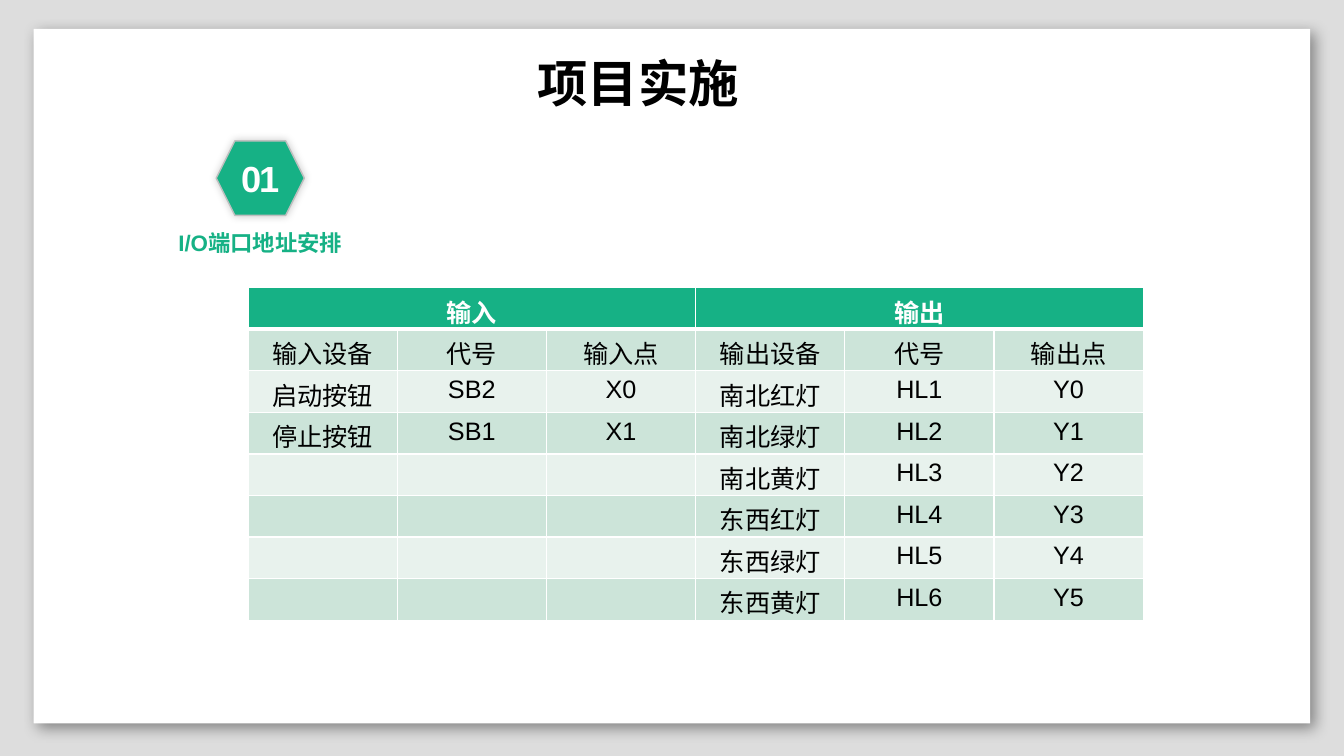
from lxml import etree
from pptx import Presentation
from pptx.dml.color import RGBColor
from pptx.enum import shapes, text
from pptx.oxml import parse_xml
from pptx.oxml.ns import nsdecls, qn
from pptx.util import Cm, Pt

# Content
TITLE = "项目实施"
NUMBER = "01"
SECTION = "I/O端口地址安排"
GROUPS = ["输入", "输出"]
ROWS = [
    ("输入设备", "代号", "输入点", "输出设备", "代号", "输出点"),
    ("启动按钮", "SB2", "X0", "南北红灯", "HL1", "Y0"),
    ("停止按钮", "SB1", "X1", "南北绿灯", "HL2", "Y1"),
    ("", "", "", "南北黄灯", "HL3", "Y2"),
    ("", "", "", "东西红灯", "HL4", "Y3"),
    ("", "", "", "东西绿灯", "HL5", "Y4"),
    ("", "", "", "东西黄灯", "HL6", "Y5"),
]

# Look
BLACK = RGBColor(0x00, 0x00, 0x00)
WHITE = RGBColor(0xFF, 0xFF, 0xFF)
GREEN = RGBColor(0x16, 0xB1, 0x85)
BANDS = [RGBColor(0xCC, 0xE4, 0xD9), RGBColor(0xE8, 0xF2, 0xED)]
EDGE = RGBColor(0xBF, 0xBF, 0xBF)
BACKDROP = RGBColor(0xDD, 0xDD, 0xDD)
LATIN, CJK = "Arial", "Noto Sans CJK JP"
COLUMN_WIDTH, ROW_HEIGHT = Cm(3.76), Cm(1.03)


def write(frame, words, size, colour, bold=True, latin=LATIN):
    para = frame.paragraphs[0]
    para.alignment = text.PP_ALIGN.CENTER
    span = para.add_run()
    span.text = words
    for name, value in {"name": latin, "size": Pt(size), "bold": bold}.items():
        setattr(span.font, name, value)
    span.font.color.rgb = colour
    east_asian = etree.SubElement(span.font._element, qn("a:ea"))
    east_asian.set("typeface", CJK)
    return span


def set_frame(frame, **changes):
    layout = {"margin_left": 0, "margin_right": 0, "margin_top": 0,
              "margin_bottom": 0, "word_wrap": False,
              "auto_size": text.MSO_AUTO_SIZE.NONE,
              "vertical_anchor": text.MSO_ANCHOR.MIDDLE}
    for name, value in {**layout, **changes}.items():
        setattr(frame, name, value)


def add_panel(kind, place, fill, shadow):
    panel = slide.shapes.add_shape(kind, *map(Cm, place))
    panel.fill.solid()
    panel.fill.fore_color.rgb = fill
    panel.line.fill.background()
    alpha, blur, distance, angle = shadow
    panel.element.spPr.append(parse_xml(
        f'<a:effectLst {nsdecls("a")}><a:outerShdw blurRad="{Pt(blur)}" '
        f'dist="{Pt(distance)}" dir="{angle * 60000}" algn="ctr" rotWithShape="0">'
        f'<a:srgbClr val="{BLACK}"><a:alpha val="{alpha * 1000}"/></a:srgbClr>'
        f'</a:outerShdw></a:effectLst>'))
    return panel


def style_cell(cell, fill, top=1, bottom=1):
    cell.margin_bottom = 0
    cell.fill.solid()
    cell.fill.fore_color.rgb = fill
    sides = {"lnL": 1, "lnR": 1, "lnT": top, "lnB": bottom}
    for index, (side, width) in enumerate(sides.items()):
        cell._tc.get_or_add_tcPr().insert(index, parse_xml(
            f'<a:{side} {nsdecls("a")} w="{Pt(width)}"><a:solidFill>'
            f'<a:srgbClr val="{WHITE}"/></a:solidFill></a:{side}>'))


# Slide
deck = Presentation()
deck.slide_width, deck.slide_height = Cm(33.87), Cm(19.05)
slide = deck.slides.add_slide(deck.slide_layouts[5])
slide.background.fill.solid()
slide.background.fill.fore_color.rgb = BACKDROP

# Title over the white page
title = slide.shapes.title
page = add_panel(shapes.MSO_SHAPE.RECTANGLE, (0.85, 0.73, 32.17, 17.5),
                 WHITE, (40, 10, 5, 45))
title.element.addprevious(page.element)
title.left, title.top, title.width, title.height = map(Cm, (13.26, 1.17, 5.64, 1.8))
set_frame(title.text_frame)
write(title.text_frame, TITLE, 36, BLACK, latin=CJK)

# Section badge and label
badge = add_panel(shapes.MSO_SHAPE.HEXAGON, (5.45, 3.55, 2.22, 1.88),
                  GREEN, (20, 6, 0, 315))
badge.line.color.rgb = EDGE
badge.line.width = Pt(1)
set_frame(badge.text_frame)
number = write(badge.text_frame, NUMBER, 25.9, WHITE)
number.font._element.set("spc", "-150")

label = slide.shapes.add_textbox(*map(Cm, (4.4, 5.76, 4.32, 0.7)))
set_frame(label.text_frame)
write(label.text_frame, SECTION, 16, GREEN)

# Address table
columns = len(ROWS[0])
span_width = columns // len(GROUPS)
line_count = len(ROWS) + 1
table = slide.shapes.add_table(line_count, columns, Cm(6.25), Cm(7.25),
                               COLUMN_WIDTH * columns, ROW_HEIGHT * line_count).table
for column in table.columns:
    column.width = COLUMN_WIDTH
for row in table.rows:
    row.height = ROW_HEIGHT

for cell in table.rows[0].cells:
    style_cell(cell, GREEN, bottom=3)
for index, group in enumerate(GROUPS):
    first = index * span_width
    heading = table.cell(0, first)
    heading.merge(table.cell(0, first + span_width - 1))
    write(heading.text_frame, group, 18, WHITE)

for index, values in enumerate(ROWS):
    for cell, value in zip(table.rows[index + 1].cells, values):
        style_cell(cell, BANDS[index % 2], top=1 if index else 3)
        if value:
            write(cell.text_frame, value, 18, BLACK, bold=False)

deck.save("out.pptx")
